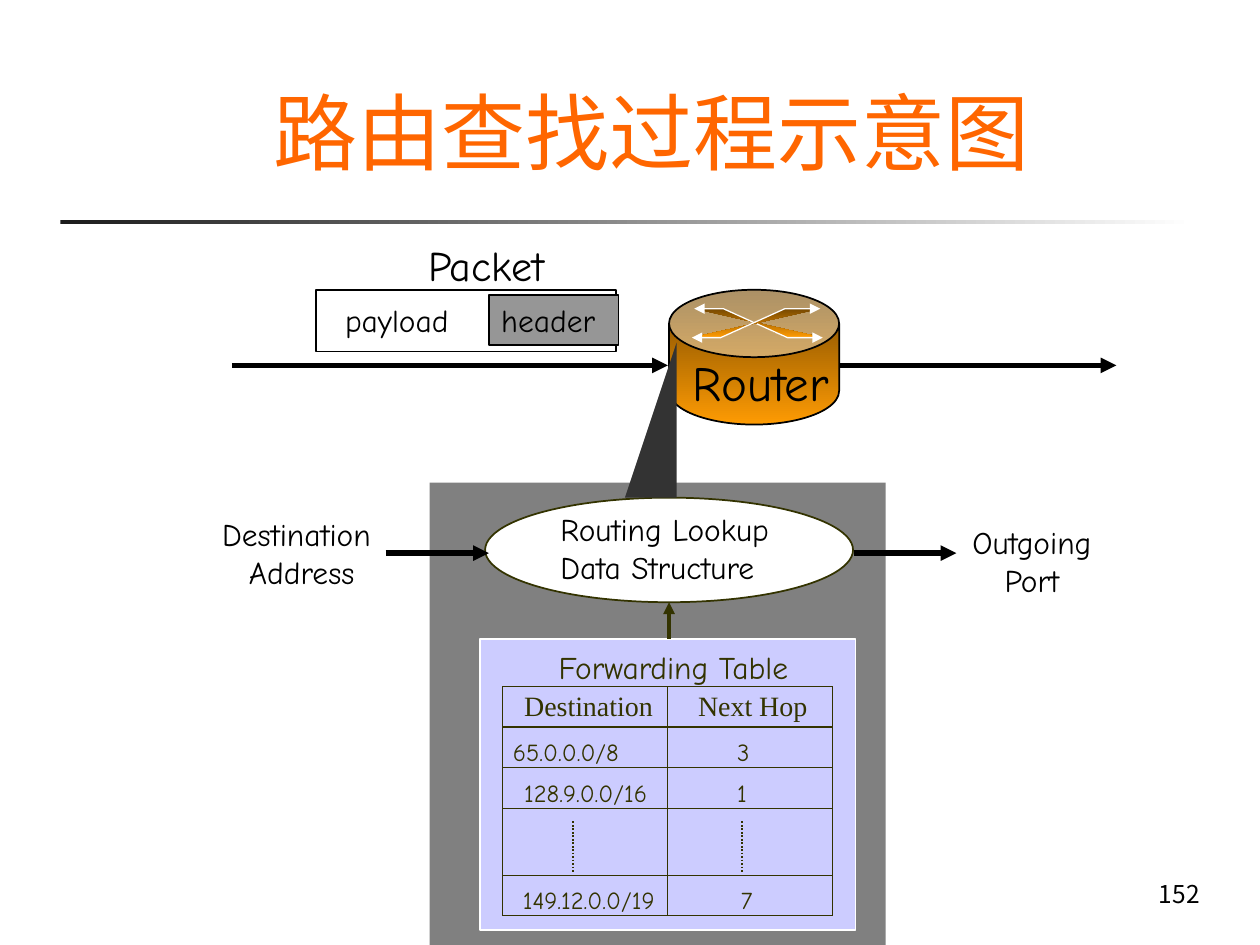
from dataclasses import dataclass

from lxml.etree import SubElement
from pptx import Presentation
from pptx.dml.color import RGBColor
from pptx.enum.dml import MSO_LINE
from pptx.enum.shapes import MSO_CONNECTOR, MSO_SHAPE
from pptx.enum.text import MSO_ANCHOR, MSO_AUTO_SIZE, PP_ALIGN
from pptx.oxml.ns import qn
from pptx.util import Inches, Pt


@dataclass(frozen=True)
class Theme:
    black: str = "000000"
    white: str = "FFFFFF"
    accent: str = "FF6600"
    olive: str = "333300"
    panel: str = "808080"
    header: str = "969696"
    table: str = "CCCCFF"
    beam: str = "333333"
    rule: tuple = ("1C1C1C", "FFFFFF")
    router: tuple = ("764801", "FE9B03")
    sans: str = "Noto Sans CJK SC"
    hand: str = "Comic Neue"
    serif: str = "Times New Roman"
    title_size: int = 48
    router_size: int = 28
    packet_size: int = 24
    label_size: int = 18
    heading_size: int = 16
    small_size: int = 14


class SlideBuilder:
    """Places elements on a grid of 100 columns by 75 rows."""

    def __init__(self, deck, theme):
        self.theme = theme
        self.page = deck.slides.add_slide(deck.slide_layouts[5])
        self.column = deck.slide_width / 100
        self.row = deck.slide_height / 75

    def place(self, left, top, width, height):
        return (round(left * self.column), round(top * self.row),
                round(width * self.column), round(height * self.row))

    def paint(self, shape, fill, line, weight, angle=270):
        shape.shadow.inherit = False
        if isinstance(fill, tuple):
            shape.fill.gradient()
            shape.fill.gradient_angle = angle
            for stop, position, color in zip(shape.fill.gradient_stops, (0, 1), fill):
                stop.position = position
                stop.color.rgb = RGBColor.from_string(color)
        else:
            shape.fill.solid()
            shape.fill.fore_color.rgb = RGBColor.from_string(fill)
        if line:
            self.stroke(shape.line, line, weight)
        else:
            shape.line.fill.background()

    def stroke(self, line, color, weight, ends=()):
        line.color.rgb = RGBColor.from_string(color)
        line.width = Pt(weight)
        for end in ends:
            SubElement(line._get_or_add_ln(), qn(f"a:{end}"), type="triangle")

    def set_text(self, frame, text, size, color, font, align=PP_ALIGN.LEFT):
        frame.text = text
        for para in frame.paragraphs:
            para.alignment = align
            para.font.size = Pt(size)
            para.font.name = font
            para.font.color.rgb = RGBColor.from_string(color)
            if font == self.theme.sans:
                properties = para.font._element
                SubElement(properties, qn("a:ea"), typeface=font)

    def title(self, text, *area):
        box = self.page.shapes.title
        box.left, box.top, box.width, box.height = self.place(*area)
        frame = box.text_frame
        frame.auto_size = MSO_AUTO_SIZE.NONE
        frame.vertical_anchor = MSO_ANCHOR.BOTTOM
        self.set_text(frame, text, self.theme.title_size, self.theme.accent,
                      self.theme.sans, PP_ALIGN.CENTER)

    def text(self, text, *area, size=None, color=None, font=None,
             align=PP_ALIGN.LEFT, anchor=MSO_ANCHOR.TOP, wrap=False):
        frame = self.page.shapes.add_textbox(*self.place(*area)).text_frame
        frame.word_wrap = wrap
        frame.vertical_anchor = anchor
        self.set_text(frame, text, size or self.theme.label_size,
                      color or self.theme.black, font or self.theme.hand, align)

    def shape(self, kind, *area, fill, line=None, weight=1, adjust=None, angle=270):
        shape = self.page.shapes.add_shape(kind, *self.place(*area))
        if adjust is not None:
            shape.adjustments[0] = adjust
        self.paint(shape, fill, line, weight, angle)
        return shape

    def zigzag(self, points, fill, line, weight):
        start, *rest = [(x * self.column, y * self.row) for x, y in points]
        builder = self.page.shapes.build_freeform(*start)
        builder.add_line_segments(rest, close=False)
        shape = builder.convert_to_shape()
        self.paint(shape, fill, line, weight)
        self.stroke(shape.line, line, weight, ("headEnd", "tailEnd"))

    def line(self, start, end, color, weight, arrow=True):
        left, top, right, bottom = self.place(*start, *end)
        connector = self.page.shapes.add_connector(
            MSO_CONNECTOR.STRAIGHT, left, top, right, bottom)
        if not arrow:
            connector.line.dash_style = MSO_LINE.ROUND_DOT
        self.stroke(connector.line, color, weight, ("tailEnd",) if arrow else ())
        SubElement(connector._element.spPr, qn("a:effectLst"))

    def border(self, cell, color, weight):
        properties = cell._tc.get_or_add_tcPr()
        for side in ("lnL", "lnR", "lnT", "lnB"):
            edge = SubElement(properties, qn(f"a:{side}"), w=str(Pt(weight)))
            solid = SubElement(edge, qn("a:solidFill"))
            SubElement(solid, qn("a:srgbClr"), val=color)

    def table(self, rows, heights, left, top, width):
        """Each cell is a pair: text and left indent in columns."""
        theme = self.theme
        area = self.place(left, top, width, sum(heights))
        table = self.page.shapes.add_table(len(rows), len(rows[0]), *area).table
        table.first_row = table.horz_banding = False
        for index, (cells, height) in enumerate(zip(rows, heights)):
            table.rows[index].height = round(height * self.row)
            for cell, (text, indent) in zip(table.rows[index].cells, cells):
                self.border(cell, theme.olive, 0.75)
                cell.fill.background()
                cell.margin_left = round(indent * self.column)
                cell.margin_right = cell.margin_top = cell.margin_bottom = 0
                cell.vertical_anchor = MSO_ANCHOR.BOTTOM if index else MSO_ANCHOR.MIDDLE
                size, font = ((theme.small_size, theme.hand) if index
                              else (theme.heading_size, theme.serif))
                self.set_text(cell.text_frame, text, size, theme.olive, font)


def main():
    deck = Presentation()
    deck.slide_width, deck.slide_height = Inches(10), Inches(7.5)
    theme = Theme()
    page = SlideBuilder(deck, theme)
    centered = dict(align=PP_ALIGN.CENTER, anchor=MSO_ANCHOR.MIDDLE)

    # Title, rule and page number
    page.shape(MSO_SHAPE.RECTANGLE, 4.8, 17.5, 90, 0.3, fill=theme.rule, angle=0)
    page.text("152", 90.4, 69.3, 5.8, 3.6, size=theme.small_size,
              font=theme.sans, align=PP_ALIGN.RIGHT, wrap=True)
    page.title("路由查找过程示意图", 9.2, 5, 85, 9.9)

    # Router with crossing arrows
    page.line((66.1, 29), (88.6, 29), theme.black, 3)
    page.shape(MSO_SHAPE.CAN, 53.1, 23, 13.5, 10.7, fill=theme.router,
               line=theme.black, adjust=0.5)
    for left, first, last in ((55.1, 24.5, 26.8), (54.9, 26.8, 24.5)):
        points = [(left, first), (left + 2.3, first), (left + 7.4, last), (left + 10.2, last)]
        page.zigzag(points, theme.router, theme.white, 0.75)

    # Incoming packet
    page.line((18.4, 29), (53, 29), theme.black, 3)
    page.shape(MSO_SHAPE.RECTANGLE, 25.1, 23, 23.8, 4.9, fill=theme.white, line=theme.black)
    header = page.shape(MSO_SHAPE.RECTANGLE, 38.8, 23.4, 10.3, 4,
                        fill=theme.header, line=theme.black)
    header.text_frame.vertical_anchor = MSO_ANCHOR.TOP
    page.set_text(header.text_frame, "header", theme.label_size, theme.black, theme.hand)
    page.text("payload", 26.4, 23.4, 12, 4, wrap=True)
    page.text("Packet", 33, 18.5, 11.4, 5, size=theme.packet_size)
    page.text("Router", 54, 27.5, 12.9, 5.7, size=theme.router_size)

    # Lookup panel
    page.shape(MSO_SHAPE.RECTANGLE, 34.1, 38.3, 36.2, 36.7, fill=theme.panel)
    page.shape(MSO_SHAPE.OVAL, 38.5, 39.5, 29.2, 8.3, fill=theme.white, line=theme.olive)
    page.shape(MSO_SHAPE.RECTANGLE, 38.1, 50.7, 29.8, 23.1, fill=theme.table, line=theme.white)
    page.text("Destination \vAddress", 16.6, 40.4, 14.7, 7, **centered)
    page.text("Outgoing Port", 75.2, 41, 13.4, 7, wrap=True, **centered)
    page.text("Routing Lookup Data Structure", 43.5, 40, 23.3, 7, wrap=True)

    # Forwarding table
    page.text("Forwarding Table", 43.1, 50.9, 20.7, 4, color=theme.olive, **centered)
    rows = [
        [("Destination", 1.7), ("Next Hop", 2.4)],
        [("65.0.0.0/8", 0.8), ("3", 5.5)],
        [("128.9.0.0/16", 1.7), ("1", 5.5)],
        [("", 0), ("", 0)],
        [("149.12.0.0/19", 1.6), ("7", 5.8)],
    ]
    page.table(rows, [3.2, 3.2, 3.3, 5.3, 3.2], 39.9, 54.5, 26.2)
    for x in (45.5, 58.9):
        page.line((x, 65.2), (x, 69.3), theme.olive, 1, arrow=False)

    # Flow through the lookup
    page.line((53.1, 50.7), (53.1, 47.8), theme.olive, 2.25)
    page.line((30.6, 43.9), (38.8, 43.9), theme.black, 3)
    page.shape(MSO_SHAPE.ISOSCELES_TRIANGLE, 49.6, 27.2, 4.1, 12.3, fill=theme.beam, adjust=1)
    page.line((67.8, 43.9), (75.9, 43.9), theme.black, 3)

    deck.save("out.pptx")


if __name__ == "__main__":
    main()
